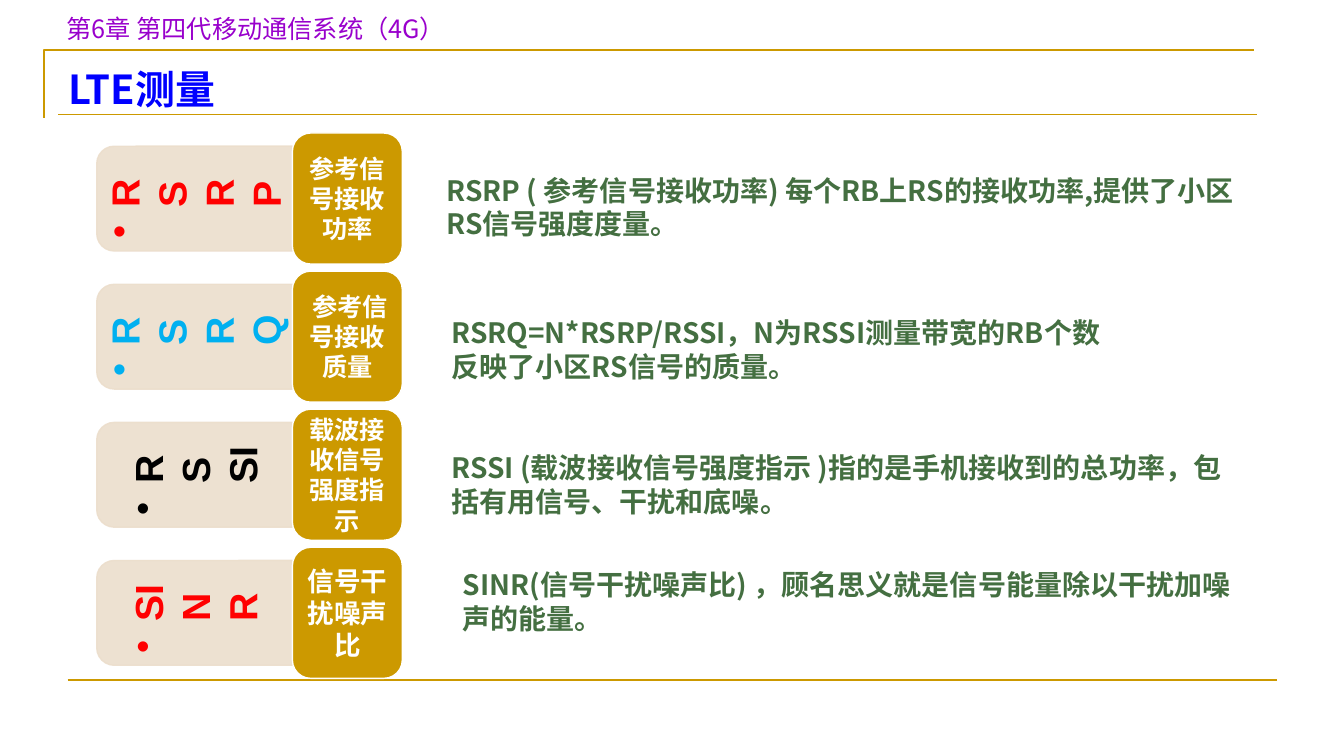
from dataclasses import dataclass

from lxml import etree
from pptx import Presentation
from pptx.dml.color import RGBColor
from pptx.enum import shapes, text
from pptx.oxml import ns
from pptx.util import Inches, Pt

GOLD = RGBColor(0xCC, 0x99, 0x00)
SAND = RGBColor(0xEC, 0xDE, 0xCC)
WHITE = RGBColor(0xFF, 0xFF, 0xFF)
BLACK = RGBColor(0x00, 0x00, 0x00)
RED = RGBColor(0xFF, 0x00, 0x00)
SKY = RGBColor(0x00, 0xB0, 0xF0)
BLUE = RGBColor(0x00, 0x00, 0xFF)
PURPLE = RGBColor(0x99, 0x00, 0xCC)
GREEN = RGBColor(0x44, 0x6F, 0x41)

SANS_SC = "Noto Sans CJK SC"
SANS_JP = "Noto Sans CJK JP"
LATIN = "Arial"

ROW_TOP, ROW_PITCH = 1.32, 1.37
NAME_WIDTH, NAME_HEIGHT = 1.09, 1.3
TAB_WIDTH, TAB_HEIGHT = 1.04, 1.94
NAME_LEFT = 2.9
LINE_RATIO = 1.2


@dataclass(frozen=True)
class Style:
    size: float
    color: RGBColor
    latin: str = SANS_SC
    east_asian: str = SANS_SC
    bold: bool = True
    line_ratio: float = LINE_RATIO


@dataclass(frozen=True)
class Measurement:
    code: str
    color: RGBColor
    name: str
    name_size: float
    description: str
    left: float
    top: float
    width: float


MEASUREMENTS = [
    Measurement("RSRP", RED, "参考信号接收功率", 18,
                "RSRP ( 参考信号接收功率) 每个RB上RS的接收功率,提供了小区RS信号强度度量。",
                4.33, 1.67, 8.25),
    Measurement("RSRQ", SKY, " 参考信号接收质量", 18,
                "RSRQ=N*RSRP/RSSI，N为RSSI测量带宽的RB个数\n反映了小区RS信号的质量。",
                4.38, 3.08, 8.41),
    Measurement("RSSI", BLACK, "载波接收信号强度指示", 18,
                "RSSI (载波接收信号强度指示 )指的是手机接收到的总功率，包括有用信号、干扰和底噪。",
                4.38, 4.42, 8),
    Measurement("SINR", RED, "信号干扰噪声比", 19,
                "SINR(信号干扰噪声比) ，顾名思义就是信号能量除以干扰加噪声的能量。",
                4.49, 5.58, 7.88),
]


def write(frame, content: str, style: Style, align=text.PP_ALIGN.LEFT) -> None:
    frame.word_wrap = True
    frame.text = content
    for paragraph in frame.paragraphs:
        paragraph.alignment = align
        paragraph.line_spacing = Pt(round(style.size * style.line_ratio, 1))
        for run in paragraph.runs:
            run.font.size = Pt(style.size)
            run.font.bold = style.bold
            run.font.color.rgb = style.color
            run.font.name = style.latin
            east_asian = etree.Element(ns.qn("a:ea"), typeface=style.east_asian)
            run.font._element.find(ns.qn("a:latin")).addnext(east_asian)


def set_margins(frame, side: float, top: float, bottom: float) -> None:
    frame.margin_left = frame.margin_right = Inches(side)
    frame.margin_top, frame.margin_bottom = Inches(top), Inches(bottom)
    frame.vertical_anchor = text.MSO_ANCHOR.MIDDLE


def add_text(slide, left: float, top: float, width: float, height: float,
             content: str, style: Style) -> None:
    box = slide.shapes.add_textbox(Inches(left), Inches(top), Inches(width), Inches(height))
    write(box.text_frame, content, style)
    box.text_frame.auto_size = text.MSO_AUTO_SIZE.SHAPE_TO_FIT_TEXT


def add_rule(slide, left: float, right: float, y: float, weight: float) -> None:
    rule = slide.shapes.add_connector(shapes.MSO_CONNECTOR.STRAIGHT, Inches(left), Inches(y),
                                      Inches(right), Inches(y))
    rule.line.color.rgb = GOLD
    rule.line.width = Pt(weight)
    etree.SubElement(rule._element.spPr, ns.qn("a:effectLst"))


def add_corner_frame(slide) -> None:
    builder = slide.shapes.build_freeform(Inches(0.44), Inches(1.17))
    builder.add_line_segments([(Inches(0.44), Inches(0.5)), (Inches(12.44), Inches(0.5))],
                              close=False)
    frame = builder.convert_to_shape()
    frame.shadow.inherit = False
    frame.fill.background()
    frame.line.color.rgb = GOLD
    frame.line.width = Pt(1.5)


def add_panel(slide, kind, left: float, top: float, width: float, height: float,
              fill: RGBColor, line: RGBColor):
    panel = slide.shapes.add_shape(kind, Inches(left), Inches(top), Inches(width), Inches(height))
    panel.shadow.inherit = False
    panel.fill.solid()
    panel.fill.fore_color.rgb = fill
    panel.line.color.rgb = line
    panel.line.width = Pt(1)
    return panel


def add_tab(slide, row: Measurement, center_y: float) -> None:
    """Draw the sideways tab with the bulleted code, ending at the name panel."""
    center_x = NAME_LEFT - TAB_HEIGHT / 2
    tab = add_panel(slide, shapes.MSO_SHAPE.ROUND_2_SAME_RECTANGLE, center_x - TAB_WIDTH / 2,
                    center_y - TAB_HEIGHT / 2, TAB_WIDTH, TAB_HEIGHT, SAND, SAND)
    tab.rotation = 270
    for color in tab._element.spPr.iter(ns.qn("a:srgbClr")):
        etree.SubElement(color, ns.qn("a:alpha"), val="90000")
    set_margins(tab.text_frame, 0.07, 0.01, 0.06)
    write(tab.text_frame, row.code, Style(28, row.color, LATIN))
    properties = tab.text_frame.paragraphs[0]._p.get_or_add_pPr()
    properties.set("marL", str(Inches(0.31)))
    properties.set("indent", str(-Inches(0.31)))
    etree.SubElement(properties, ns.qn("a:buChar"), char="•")


def add_measurement(slide, index: int, row: Measurement) -> None:
    top = ROW_TOP + index * ROW_PITCH
    add_tab(slide, row, top + NAME_HEIGHT / 2)
    name = add_panel(slide, shapes.MSO_SHAPE.ROUNDED_RECTANGLE, NAME_LEFT, top,
                     NAME_WIDTH, NAME_HEIGHT, GOLD, WHITE)
    set_margins(name.text_frame, 0.03, 0, 0)
    write(name.text_frame, row.name, Style(row.name_size, WHITE, LATIN), text.PP_ALIGN.CENTER)
    add_text(slide, row.left, row.top, row.width, 0.77, row.description, Style(20, GREEN))


def main() -> None:
    presentation = Presentation()
    presentation.slide_width, presentation.slide_height = Inches(13.33), Inches(7.5)
    slide = presentation.slides.add_slide(presentation.slide_layouts[6])
    add_corner_frame(slide)
    add_rule(slide, 0.67, 12.67, 6.75, 1.5)
    add_text(slide, 0.56, 0.08, 5.78, 0.4, "第6章 第四代移动通信系统（4G）",
             Style(18, PURPLE, SANS_JP, SANS_JP, bold=False))
    add_text(slide, 0.58, 0.47, 8.8, 0.68, "LTE测量", Style(28.5, BLUE, line_ratio=1.5))
    add_rule(slide, 0.58, 12.47, 1.13, 0.25)
    for index, row in enumerate(MEASUREMENTS):
        add_measurement(slide, index, row)
    presentation.save("out.pptx")


if __name__ == "__main__":
    main()
